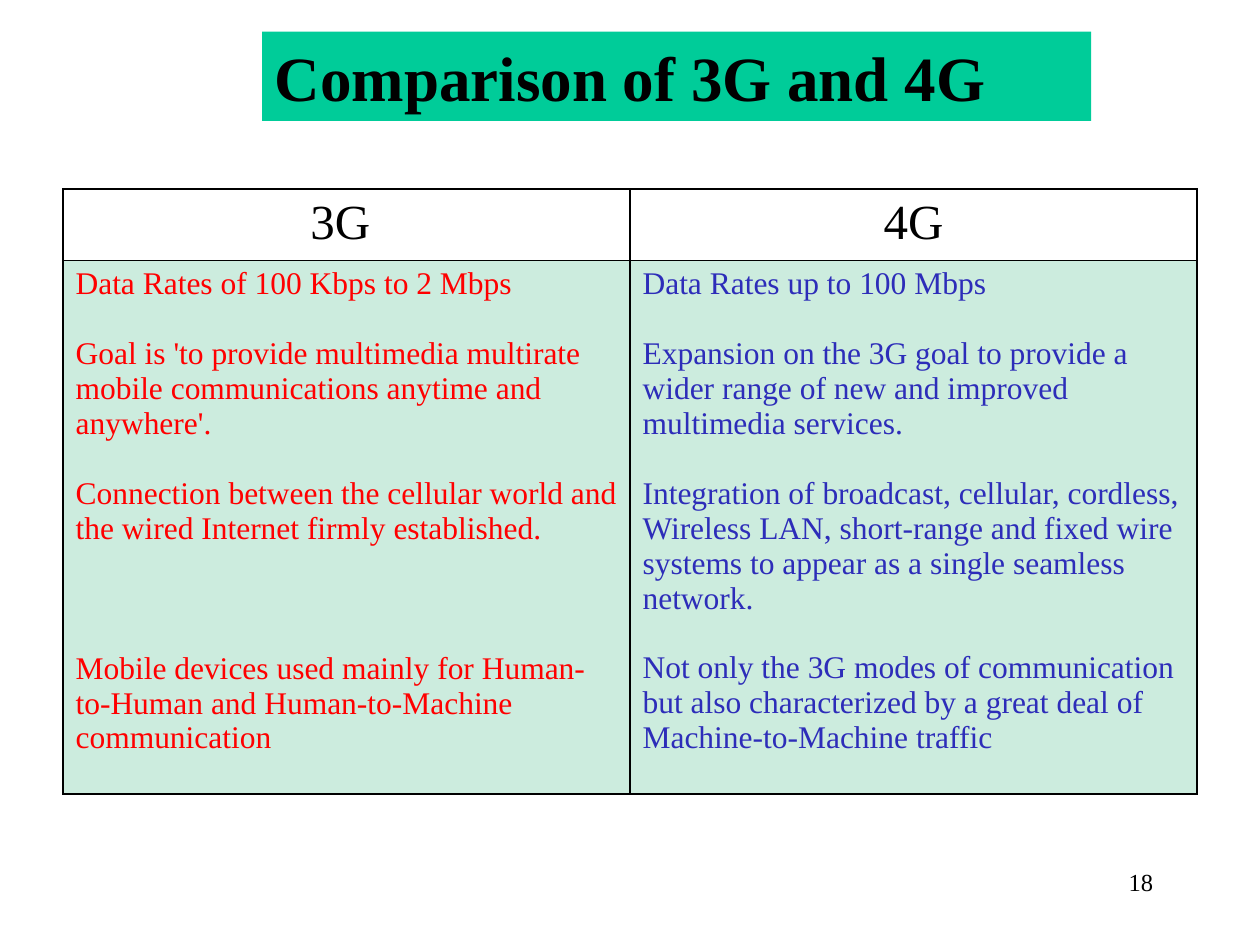
from lxml.etree import SubElement
from pptx import Presentation
from pptx.dml.color import RGBColor
from pptx.enum.text import MSO_ANCHOR, MSO_AUTO_SIZE, PP_ALIGN
from pptx.oxml.ns import qn
from pptx.util import Inches, Pt

FONT = "Times New Roman"
BLACK = RGBColor(0x00, 0x00, 0x00)
WHITE = RGBColor(0xFF, 0xFF, 0xFF)
RED = RGBColor(0xFF, 0x00, 0x00)
BLUE = RGBColor(0x2D, 0x2D, 0xB9)
GREEN = RGBColor(0x00, 0xCC, 0x99)
MINT = RGBColor(0xCC, 0xEC, 0xDE)

TITLE = "Comparison of 3G and 4G"
PAGE_NUMBER = "18"
LINE = 20  # points, one line of body text

# Each point: text, blank lines above it
COLUMNS = [
    ("3G ", RED, [
        ("Data Rates of 100 Kbps to 2 Mbps", 0),
        ("Goal is 'to provide multimedia multirate mobile communications "
         "anytime and anywhere'.", 1),
        ("Connection between the cellular world and the wired Internet "
         "firmly established.", 1),
        ("Mobile devices used mainly for Human-to-Human and "
         "Human-to-Machine communication", 3),
    ]),
    ("4G", BLUE, [
        ("Data Rates up to 100 Mbps", 0),
        ("Expansion on the 3G goal to provide a wider range of new and "
         "improved multimedia services.", 1),
        ("Integration of broadcast, cellular, cordless, Wireless LAN, "
         "short-range and fixed wire systems to appear as a single "
         "seamless network.", 1),
        ("Not only the 3G modes of communication but also characterized by "
         "a great deal of Machine-to-Machine traffic", 1),
    ]),
]
ROW_HEIGHTS = (0.53, 3.97)
COLUMN_WIDTH = 4.5


def add_text(para, text, size, color, align=PP_ALIGN.LEFT, bold=False):
    para.alignment = align
    span = para.add_run()
    span.text = text
    span.font.name = FONT
    span.font.size = Pt(size)
    span.font.bold = bold
    span.font.color.rgb = color


def style_cell(cell, color):
    """Fill the cell and draw a thin black border on all four sides."""
    properties = cell._tc.get_or_add_tcPr()
    for side in ("lnL", "lnR", "lnT", "lnB"):
        line = SubElement(properties, qn(f"a:{side}"), w=str(Pt(1)))
        fill = SubElement(line, qn("a:solidFill"))
        SubElement(fill, qn("a:srgbClr"), val=str(BLACK))
    cell.fill.solid()
    cell.fill.fore_color.rgb = color


def add_title(page):
    title = page.shapes.title
    title.left, title.top = Inches(2.08), Inches(0.25)
    title.width, title.height = Inches(6.58), Inches(0.71)
    title.fill.solid()
    title.fill.fore_color.rgb = GREEN
    frame = title.text_frame
    frame.auto_size = MSO_AUTO_SIZE.NONE
    frame.vertical_anchor = MSO_ANCHOR.MIDDLE
    add_text(frame.paragraphs[0], TITLE, 36, BLACK, bold=True)


def add_comparison(page):
    table = page.shapes.add_table(
        len(ROW_HEIGHTS), len(COLUMNS), Inches(0.5), Inches(1.5),
        Inches(COLUMN_WIDTH * len(COLUMNS)), Inches(sum(ROW_HEIGHTS))).table
    table.horz_banding = False
    for row, height in zip(table.rows, ROW_HEIGHTS):
        row.height = Inches(height)
    for index, (heading, color, points) in enumerate(COLUMNS):
        table.columns[index].width = Inches(COLUMN_WIDTH)
        head, body = table.cell(0, index), table.cell(1, index)
        style_cell(head, WHITE)
        style_cell(body, MINT)
        add_text(head.text_frame.paragraphs[0], heading, 28, BLACK,
                 PP_ALIGN.CENTER)
        frame = body.text_frame
        for number, (text, gap) in enumerate(points):
            para = frame.add_paragraph() if number else frame.paragraphs[0]
            para.space_before = Pt(gap * LINE)
            add_text(para, text, 18, color)


def add_page_number(page):
    box = page.shapes.add_textbox(
        Inches(7.17), Inches(6.83), Inches(2.08), Inches(0.5))
    box.text_frame.word_wrap = True
    add_text(box.text_frame.paragraphs[0], PAGE_NUMBER, 14, BLACK,
             PP_ALIGN.RIGHT)


def main():
    deck = Presentation()
    deck.slide_width, deck.slide_height = Inches(10), Inches(7.5)
    page = deck.slides.add_slide(deck.slide_layouts[5])
    add_page_number(page)
    add_comparison(page)
    add_title(page)
    deck.save("out.pptx")


if __name__ == "__main__":
    main()
